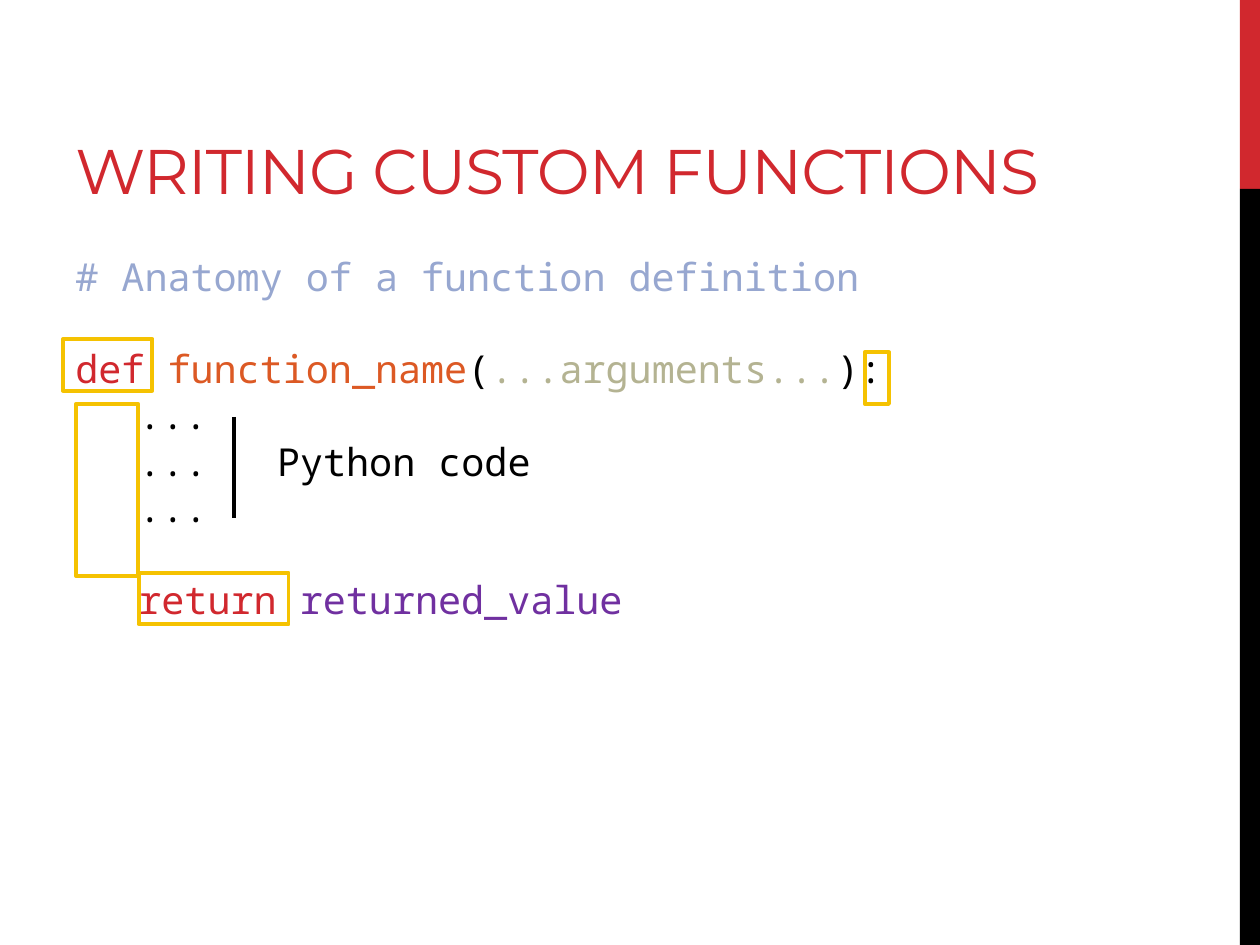
from typing import NamedTuple

from lxml.etree import SubElement
from pptx import Presentation
from pptx.dml.color import RGBColor
from pptx.enum.shapes import MSO_CONNECTOR as Connector, MSO_SHAPE as Shape
from pptx.enum.text import MSO_ANCHOR as Anchor
from pptx.oxml.ns import qn
from pptx.util import Pt

RED = RGBColor(0xD1, 0x28, 0x2E)
BLACK = RGBColor(0x00, 0x00, 0x00)
BLUE = RGBColor(0x97, 0xA7, 0xD0)
ORANGE = RGBColor(0xDC, 0x59, 0x24)
SAND = RGBColor(0xB4, 0xB3, 0x92)
PURPLE = RGBColor(0x70, 0x30, 0xA0)
GOLD = RGBColor(0xF5, 0xC2, 0x01)

CODE_SIZE = 22
LINE_PITCH = 26.36
TAB_STOPS = (36, 115.2)
RULE_WIDTH = 2.25


class Area(NamedTuple):
    left: float
    top: float
    width: float
    height: float


class Span(NamedTuple):
    text: str
    color: RGBColor = BLACK


class CodeLine(NamedTuple):
    spans: tuple[Span, ...]
    gap_before: float = 0


SIDE_BARS = (
    (Area(708.5, 0, 11.5, 108), RED),
    (Area(708.5, 108, 11.5, 432), BLACK),
)

CODE = (
    CodeLine((Span("# Anatomy of a function definition", BLUE),)),
    CodeLine(
        (
            Span("def ", RED),
            Span("function_name", ORANGE),
            Span("("),
            Span("...arguments...", SAND),
            Span("):"),
        ),
        LINE_PITCH,
    ),
    CodeLine((Span("\t..."),)),
    CodeLine((Span("\t...\tPython code"),)),
    CodeLine((Span("\t..."),)),
    CodeLine(
        (Span("\t"), Span("return ", RED), Span("returned_value", PURPLE)),
        LINE_PITCH,
    ),
)

HIGHLIGHTS = (
    Area(36, 193.7, 51.1, 29.5),  # def
    Area(79.2, 327.2, 85.7, 29.5),  # return
    Area(43.6, 230.7, 35.3, 98.6),  # indentation
    Area(494.1, 201.3, 13.9, 29.5),  # colon
)


def points(area: Area) -> tuple[Pt, ...]:
    return tuple(Pt(value) for value in area)


def add_rectangle(page, area: Area):
    box = page.shapes.add_shape(Shape.RECTANGLE, *points(area))
    box.shadow.inherit = False
    return box


def add_bar(page, area: Area, color: RGBColor) -> None:
    bar = add_rectangle(page, area)
    bar.fill.solid()
    bar.fill.fore_color.rgb = color
    bar.line.fill.background()


def add_highlight(page, area: Area) -> None:
    frame = add_rectangle(page, area)
    frame.fill.background()
    frame.line.color.rgb = GOLD
    frame.line.width = Pt(RULE_WIDTH)


def add_text_frame(page, area: Area):
    frame = page.shapes.add_textbox(*points(area)).text_frame
    frame.word_wrap = True
    return frame


def add_run(para, span: Span, font: str, size: float):
    run = para.add_run()
    run.text = span.text
    run.font.name = font
    run.font.size = Pt(size)
    run.font.color.rgb = span.color
    return run


def add_tab_stops(para) -> None:
    tab_list = SubElement(para._p.get_or_add_pPr(), qn("a:tabLst"))
    for stop in TAB_STOPS:
        SubElement(tab_list, qn("a:tab"), pos=str(int(Pt(stop))), algn="l")


def add_title(page, text: str) -> None:
    frame = add_text_frame(page, Area(36, 12.2, 600, 108))
    frame.vertical_anchor = Anchor.BOTTOM
    frame.margin_bottom = Pt(2)
    run = add_run(frame.paragraphs[0], Span(text, RED), "Montserrat", 36)
    run._r.get_or_add_rPr().set("spc", "-60")


def add_code(page, lines: tuple[CodeLine, ...]) -> None:
    frame = add_text_frame(page, Area(36, 139.7, 656.6, 300.2))
    frame.margin_top = Pt(5)
    for index, line in enumerate(lines):
        para = frame.add_paragraph() if index else frame.paragraphs[0]
        para.line_spacing = Pt(LINE_PITCH)
        para.space_before = Pt(line.gap_before)
        add_tab_stops(para)
        for span in line.spans:
            add_run(para, span, "Noto Sans Mono", CODE_SIZE)


def add_body_rule(page, x: float, top: float, bottom: float) -> None:
    rule = page.shapes.add_connector(
        Connector.STRAIGHT, Pt(x), Pt(top), Pt(x), Pt(bottom)
    )
    rule.line.color.rgb = BLACK
    rule.line.width = Pt(RULE_WIDTH)
    SubElement(rule._element.spPr, qn("a:effectLst"))


deck = Presentation()
deck.slide_width, deck.slide_height = Pt(720), Pt(540)
page = deck.slides.add_slide(deck.slide_layouts[6])

# Side bars
for area, color in SIDE_BARS:
    add_bar(page, area, color)

# Title and code
add_title(page, "WRITING CUSTOM FUNCTIONS")
add_code(page, CODE)

# Marks on the parts of the function
add_body_rule(page, 133.9, 238.3, 295.9)
for area in HIGHLIGHTS:
    add_highlight(page, area)

deck.save("out.pptx")
